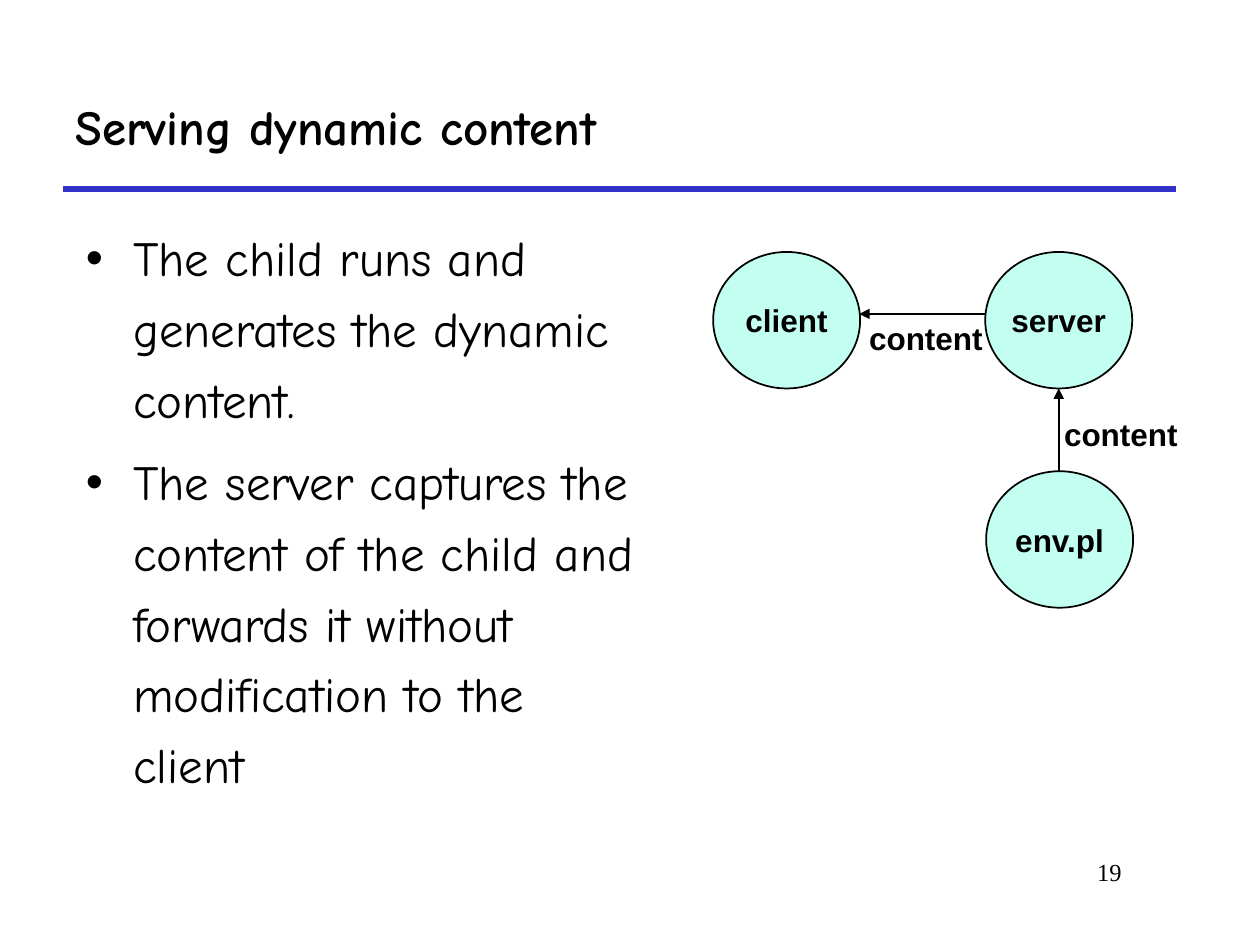
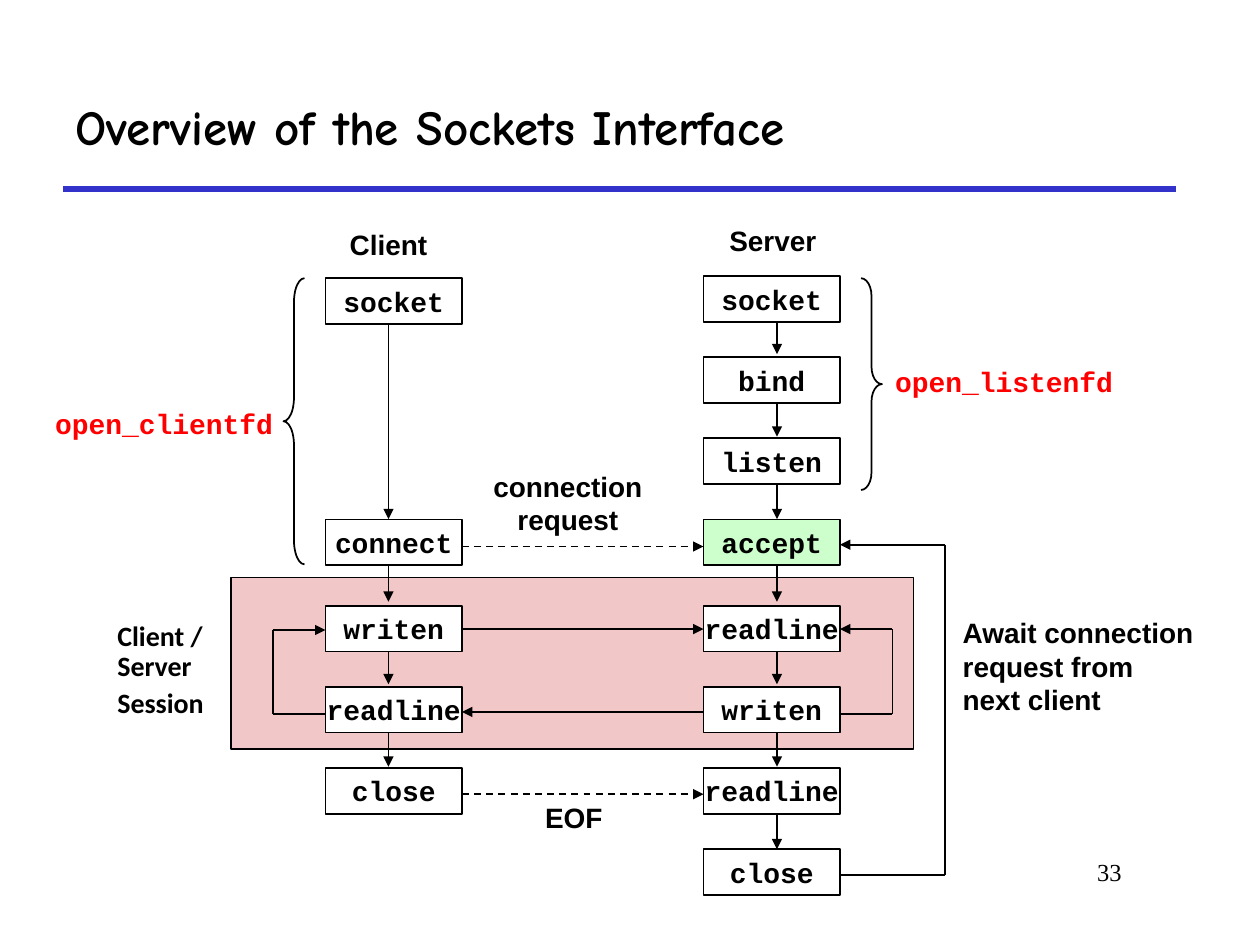
import itertools

import pptx
import pptx.dml.color
import pptx.enum.dml
import pptx.enum.shapes
import pptx.enum.text
import pptx.oxml.ns
import pptx.util
from lxml import etree

Pt = pptx.util.Pt
SHAPE = pptx.enum.shapes.MSO_SHAPE
ALIGN = pptx.enum.text.PP_ALIGN
ANCHOR = pptx.enum.text.MSO_ANCHOR

THEME = {
    "colors": {
        "ink": "000000", "paper": "FFFFFF", "rule": "3333CC", "alert": "FF0000",
        "node": "C2FFF0", "session": "F1C7C7", "accept": "CCFFCC",
    },
    "fonts": {
        "title": {"name": "Comic Neue", "size": Pt(28), "bold": True},
        "body": {"name": "Comic Neue", "size": Pt(28), "bold": False},
        "number": {"name": "Times New Roman", "size": Pt(14), "bold": False},
        "node": {"name": "Arial", "size": Pt(18), "bold": True},
        "label": {"name": "Arial", "size": Pt(16), "bold": True},
        "code": {"name": "Courier New", "size": Pt(16), "bold": True},
        "session": {"name": "Calibri", "size": Pt(16), "bold": True},
    },
}

# Content: places are (left, top, width, height) or (x, y) in points
DYNAMIC = {
    "title": "Serving dynamic content",
    "number": "19",
    "bullets": [
        "The child runs and generates the dynamic content.",
        "The server captures the content of the child and forwards it "
        "without modification to the client",
    ],
    "nodes": [("client", 407.5, 144), ("server", 563, 144), ("env.pl", 563.5, 269.3)],
    "arrows": [[(605, 269.3), (605, 222)], [(563, 179.4), (491, 179.4)]],
    "labels": [("content", (597, 233.3, 87, 29)), ("content", (485.6, 178.6, 87, 29))],
}

SOCKETS = {
    "title": "Overview of the Sockets Interface",
    "number": "33",
    "client": {"socket": 0, "connect": 3, "writen": 4, "readline": 5, "close": 6},
    "server": ["socket", "bind", "listen", "accept", "readline", "writen", "readline", "close"],
    "loops": [
        [(480, 408), (510, 408), (510, 359.5), (480, 359.5)],
        [(186, 408), (156, 408), (156, 360), (186, 360)],
        [(480, 500), (540, 500), (540, 311.3), (480, 311.3)],
    ],
    "requests": [[(264, 312.3), (402, 312.3)], [(264, 453.8), (402, 453.8)]],
    "messages": [[(264, 359.5), (402, 359.5)], [(402, 406.8), (264, 406.8)]],
    "labels": [
        (["Client"], (189, 126, 66, 27), "label", "ink", ALIGN.CENTER),
        (["Server"], (405.6, 123.7, 72, 27), "label", "ink", ALIGN.CENTER),
        (["connection", "request"], (271, 264.4, 107, 46), "label", "ink", ALIGN.CENTER),
        (["EOF"], (300.4, 453.7, 55, 27), "label", "ink", ALIGN.CENTER),
        (["Await connection", "request from", "next client"],
         (543, 348, 154, 65), "label", "ink", ALIGN.LEFT),
        (["open_listenfd"], (500.3, 204.5, 147, 27), "code", "alert", ALIGN.CENTER),
        (["open_clientfd"], (20.3, 228.6, 147, 27), "code", "alert", ALIGN.CENTER),
    ],
    "session": (["Client / Server", "Session"], (60, 352, 66, 63)),
    "band": (132, 330, 390, 98),
    "braces": [(SHAPE.RIGHT_BRACE, (492, 159, 12, 121)), (SHAPE.LEFT_BRACE, (162, 159, 12, 163.5))],
}

NODE_SIZE = (84, 78)
CALL_SIZE = (78, 26.2)
CLIENT_LEFT, SERVER_LEFT = 186, 402
CLIENT_ARROW_X, SERVER_ARROW_X = 222, 444
CLIENT_SOCKET_DROP = 1.2
SETUP_TOP, SESSION_TOP, ROW_PITCH, SETUP_ROWS = 157.8, 346.1, 46.35, 4
ARROW_TOP, ARROW_LENGTH, ARROW_PITCH = 181.4, 21, 47.15


def color(name):
    return pptx.dml.color.RGBColor.from_string(THEME["colors"][name])


def apply(target, values):
    for name, value in values.items():
        setattr(target, name, value)


def write(box, lines, font, ink="ink", align=ALIGN.LEFT, anchor=ANCHOR.MIDDLE,
          wrap=False, spacing=None, before=0, bullet=False):
    """Fill a shape with one paragraph per line."""
    frame = box.text_frame
    apply(frame, {"word_wrap": wrap, "vertical_anchor": anchor})
    for index, line in enumerate(lines):
        para = frame.paragraphs[0] if index == 0 else frame.add_paragraph()
        if bullet:
            add_bullet(para)
        apply(para, {"alignment": align, "line_spacing": spacing,
                     "space_before": Pt(before if index else 0)})
        span = para.add_run()
        span.text = line
        apply(span.font, THEME["fonts"][font])
        span.font.color.rgb = color(ink)


def add_bullet(para):
    props = para._p.get_or_add_pPr()
    props.set("marL", str(Pt(27)))
    props.set("indent", str(-Pt(27)))
    etree.SubElement(props, pptx.oxml.ns.qn("a:buFont"), typeface="Arial")
    etree.SubElement(props, pptx.oxml.ns.qn("a:buChar"), char="•")


def add_text(page, place, lines, font, **options):
    box = page.shapes.add_textbox(*map(Pt, place))
    write(box, lines, font, **options)


def add_figure(page, kind, place, fill=None):
    figure = page.shapes.add_shape(kind, *map(Pt, place))
    figure.shadow.inherit = False
    if fill:
        figure.fill.solid()
        figure.fill.fore_color.rgb = color(fill)
    else:
        figure.fill.background()
    figure.line.color.rgb = color("ink")
    figure.line.width = Pt(1)
    return figure


def add_line(page, start, end, ink="ink", width=1, arrow=False, dashed=False):
    line = page.shapes.add_connector(
        pptx.enum.shapes.MSO_CONNECTOR.STRAIGHT, *map(Pt, (*start, *end)))
    line.line.color.rgb = color(ink)
    line.line.width = Pt(width)
    if dashed:
        line.line.dash_style = pptx.enum.dml.MSO_LINE.DASH
    if arrow:
        etree.SubElement(line.line._get_or_add_ln(), pptx.oxml.ns.qn("a:tailEnd"), type="triangle")
    etree.SubElement(line._element.spPr, pptx.oxml.ns.qn("a:effectLst"))


def add_route(page, points, dashed=False):
    """Join the points with lines and put an arrowhead on the last one."""
    for start, end in itertools.pairwise(points):
        add_line(page, start, end, arrow=end == points[-1], dashed=dashed)


def add_page(deck, content):
    page = deck.slides.add_slide(deck.slide_layouts[6])
    add_line(page, (36, 108), (672, 108), ink="rule", width=3)
    add_text(page, (36, 36, 636, 72), [content["title"]], "title", wrap=True)
    add_text(page, (546, 486, 102, 36), [content["number"]], "number",
             align=ALIGN.RIGHT, anchor=ANCHOR.TOP, wrap=True)
    return page


def build_dynamic(deck):
    page = add_page(deck, DYNAMIC)
    add_text(page, (42, 120, 336, 360), DYNAMIC["bullets"], "body", anchor=ANCHOR.TOP,
             wrap=True, spacing=1.2, before=7, bullet=True)
    for name, left, top in DYNAMIC["nodes"]:
        node = add_figure(page, SHAPE.OVAL, (left, top, *NODE_SIZE), "node")
        write(node, [name], "node", align=ALIGN.CENTER)
    for points in DYNAMIC["arrows"]:
        add_route(page, points)
    for text, place in DYNAMIC["labels"]:
        add_text(page, place, [text], "node", align=ALIGN.CENTER)


def row_top(row):
    if row < SETUP_ROWS:
        return SETUP_TOP + row * ROW_PITCH
    return SESSION_TOP + (row - SETUP_ROWS) * ROW_PITCH


def add_call(page, name, left, top):
    fill = "accept" if name == "accept" else "paper"
    call = add_figure(page, SHAPE.RECTANGLE, (left, top, *CALL_SIZE), fill)
    write(call, [name], "code", align=ALIGN.CENTER)


def add_column(page, calls, left, arrow_x, first_drop=0):
    """Stack (name, row) calls, with an arrow from each to the next."""
    for (_, row), (_, following) in itertools.pairwise(calls):
        start = ARROW_TOP + row * ARROW_PITCH
        end = ARROW_TOP + (following - 1) * ARROW_PITCH + ARROW_LENGTH
        add_route(page, [(arrow_x, start), (arrow_x, end)])
    for name, row in calls:
        add_call(page, name, left, row_top(row) + (first_drop if row == 0 else 0))


def build_sockets(deck):
    page = add_page(deck, SOCKETS)
    add_figure(page, SHAPE.RECTANGLE, SOCKETS["band"], "session")
    for points in SOCKETS["loops"] + SOCKETS["messages"]:
        add_route(page, points)
    for points in SOCKETS["requests"]:
        add_route(page, points, dashed=True)
    add_column(page, list(SOCKETS["client"].items()), CLIENT_LEFT, CLIENT_ARROW_X,
               CLIENT_SOCKET_DROP)
    server = [(name, row) for row, name in enumerate(SOCKETS["server"])]
    add_column(page, server, SERVER_LEFT, SERVER_ARROW_X)
    for kind, place in SOCKETS["braces"]:
        brace = add_figure(page, kind, place)
        brace.adjustments[0] = place[3] / 12 / place[2]
    for lines, place, font, ink, align in SOCKETS["labels"]:
        add_text(page, place, lines, font, ink=ink, align=align)
    lines, place = SOCKETS["session"]
    add_text(page, place, lines, "session", wrap=True, spacing=0.9, before=4)


def main():
    deck = pptx.Presentation()
    apply(deck, {"slide_width": Pt(720), "slide_height": Pt(540)})
    build_dynamic(deck)
    build_sockets(deck)
    deck.save("out.pptx")


if __name__ == "__main__":
    main()
